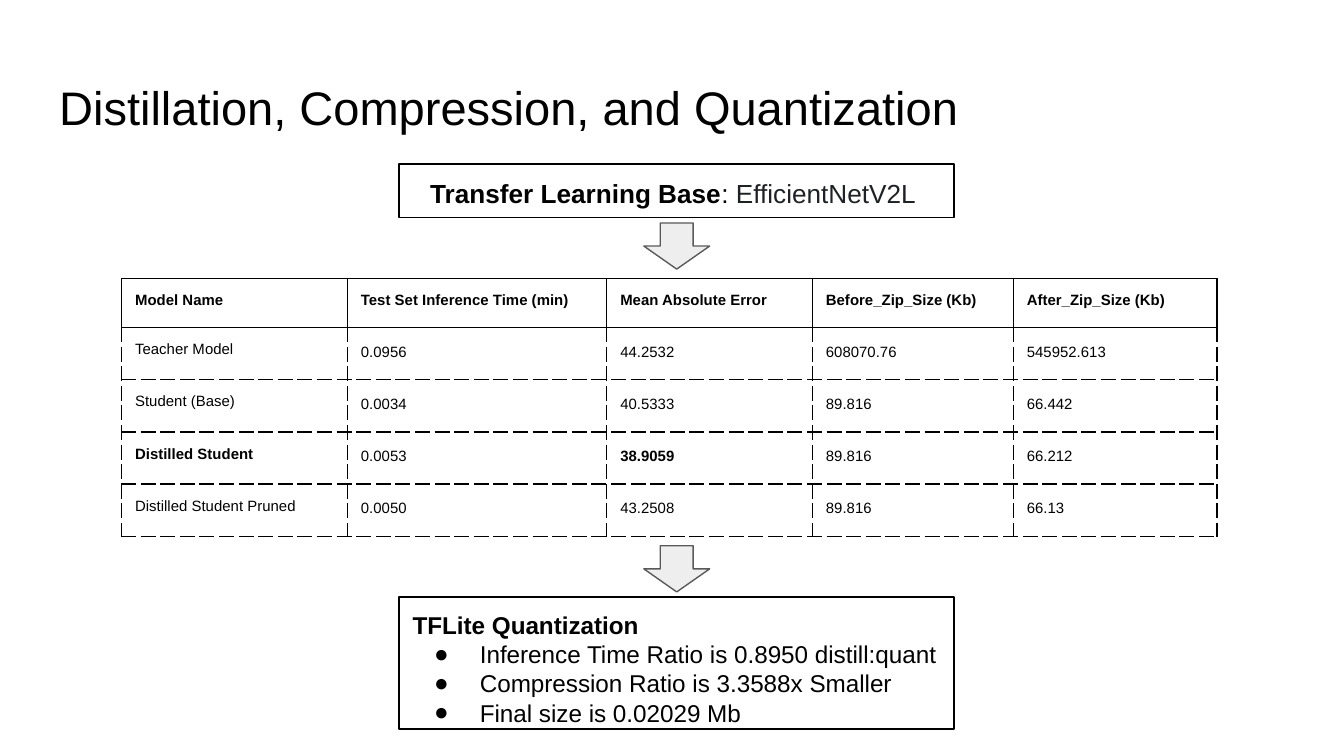
from dataclasses import dataclass

from lxml.etree import SubElement
from pptx import Presentation
from pptx.dml.color import RGBColor
from pptx.enum.shapes import MSO_SHAPE
from pptx.enum.text import MSO_ANCHOR, MSO_AUTO_SIZE, PP_ALIGN
from pptx.oxml.ns import qn
from pptx.util import Emu, Inches, Pt

FONT = "Arial"
BLACK, GREY, DARK, PALE = "000000", "595959", "202124", "EEEEEE"
SLIDE_WIDTH = Inches(10)
SLIDE_HEIGHT = Emu(SLIDE_WIDTH * 9 // 16)
COLUMN, ROW = SLIDE_WIDTH / 100, SLIDE_HEIGHT / 100
FLOW_AXIS = 50.35
BOX_WIDTH, ARROW_WIDTH, ARROW_HEIGHT = 41.3, 4.9, 6.1


@dataclass(frozen=True)
class Area:
    left: float
    top: float
    width: float
    height: float

    def lengths(self) -> tuple:
        return (Emu(round(self.left * COLUMN)), Emu(round(self.top * ROW)),
                Emu(round(self.width * COLUMN)), Emu(round(self.height * ROW)))


@dataclass(frozen=True)
class Span:
    text: str
    bold: bool = False
    color: str = BLACK


TITLE_AREA = Area(3.4, 8.65, 93.2, 11.2)
TABLE_AREA = Area(9.05, 36.85, 81.5, 34.1)
COLUMN_WIDTHS = (16.8, 19.3, 15.3, 14.95, 15.15)
HEADER_HEIGHT, RECORD_HEIGHT = 6.5, 6.9
RECORDS = (
    ("Model Name", "Test Set Inference Time (min)", "Mean Absolute Error",
     "Before_Zip_Size (Kb)", "After_Zip_Size (Kb)"),
    ("Teacher Model", "0.0956", "44.2532", "608070.76", "545952.613"),
    ("Student (Base)", "0.0034", "40.5333", "89.816", "66.442"),
    ("Distilled Student", "0.0053", "38.9059", "89.816", "66.212"),
    ("Distilled Student Pruned", "0.0050", "43.2508", "89.816", "66.13"),
)
BOLD_CELLS = {(3, 0), (3, 2)}
BASE_SPANS = (Span("Transfer Learning Base", True), Span(": "),
              Span("EfficientNetV2L", color=DARK), Span(" "))
QUANTIZATION_RESULTS = (
    "Inference Time Ratio is 0.8950 distill:quant",
    "Compression Ratio is 3.3588x Smaller",
    "Final size is 0.02029 Mb",
)


def rgb(color: str) -> RGBColor:
    return RGBColor.from_string(color)


def centred(top: float, width: float, height: float) -> Area:
    return Area(FLOW_AXIS - width / 2, top, width, height)


def place(shape, area: Area) -> None:
    shape.left, shape.top, shape.width, shape.height = area.lengths()


def add_span(para, span: Span, size: float) -> None:
    run = para.add_run()
    run.text = span.text
    run.font.name = FONT
    run.font.size = Pt(size)
    run.font.bold = span.bold
    run.font.color.rgb = rgb(span.color)


def format_frame(frame) -> None:
    frame.word_wrap = True
    frame.auto_size = MSO_AUTO_SIZE.NONE
    frame.vertical_anchor = MSO_ANCHOR.TOP
    frame.margin_left = frame.margin_right = Inches(0.1)
    frame.margin_top = frame.margin_bottom = Inches(0.1)


def outline(shape, color: str) -> None:
    shape.line.color.rgb = rgb(color)
    shape.line.width = Pt(0.75)


def set_bullet(para, shown: bool) -> None:
    properties = para._p.get_or_add_pPr()
    properties.set("marL", str(Inches(0.5) if shown else 0))
    properties.set("indent", str(Inches(-0.34) if shown else 0))
    if shown:
        color = SubElement(properties, qn("a:buClr"))
        SubElement(color, qn("a:srgbClr"), val=BLACK)
        SubElement(properties, qn("a:buFont"), typeface=FONT)
        SubElement(properties, qn("a:buChar"), char="●")
    else:
        SubElement(properties, qn("a:buNone"))
    para.space_before = Pt(0)


def add_arrow(page, top: float) -> None:
    area = centred(top, ARROW_WIDTH, ARROW_HEIGHT)
    arrow = page.shapes.add_shape(MSO_SHAPE.DOWN_ARROW, *area.lengths())
    arrow.shadow.inherit = False
    arrow.fill.solid()
    arrow.fill.fore_color.rgb = rgb(PALE)
    outline(arrow, GREY)


def add_base_box(page) -> None:
    area = centred(21.7, BOX_WIDTH, 7.1)
    box = page.shapes.add_shape(MSO_SHAPE.RECTANGLE, *area.lengths())
    box.shadow.inherit = False
    box.fill.background()
    outline(box, BLACK)
    format_frame(box.text_frame)
    para = box.text_frame.paragraphs[0]
    para.alignment = PP_ALIGN.CENTER
    for span in BASE_SPANS:
        add_span(para, span, 14)


def fill_title(title) -> None:
    place(title, TITLE_AREA)
    format_frame(title.text_frame)
    para = title.text_frame.paragraphs[0]
    para.alignment = PP_ALIGN.LEFT
    add_span(para, Span("Distillation, Compression, and Quantization"), 25.2)


def fill_quantization(body) -> None:
    place(body, centred(78.95, BOX_WIDTH, 17.5))
    outline(body, BLACK)
    format_frame(body.text_frame)
    heading = body.text_frame.paragraphs[0]
    set_bullet(heading, False)
    add_span(heading, Span("TFLite Quantization", True), 13)
    for result in QUANTIZATION_RESULTS:
        para = body.text_frame.add_paragraph()
        set_bullet(para, True)
        add_span(para, Span(result), 13)


def set_borders(cell, dashes: dict[str, str]) -> None:
    properties = cell._tc.get_or_add_tcPr()
    for side in "LRTB":
        line = SubElement(properties, qn(f"a:ln{side}"), w=str(Pt(0.75)))
        fill = SubElement(line, qn("a:solidFill"))
        SubElement(fill, qn("a:srgbClr"), val=BLACK)
        SubElement(line, qn("a:prstDash"), val=dashes[side])


def add_results_table(page) -> None:
    frame = page.shapes.add_table(len(RECORDS), len(COLUMN_WIDTHS),
                                  *TABLE_AREA.lengths())
    table = frame.table
    table.first_row = table.horz_banding = False
    for column, width in zip(table.columns, COLUMN_WIDTHS):
        column.width = Emu(round(width * COLUMN))
    for i, record in enumerate(RECORDS):
        height = RECORD_HEIGHT if i else HEADER_HEIGHT
        table.rows[i].height = Emu(round(height * ROW))
        dashes = dict.fromkeys("LRB", "dash" if i else "solid")
        dashes["T"] = "dash" if i > 1 else "solid"
        for j, text in enumerate(record):
            cell = table.cell(i, j)
            set_borders(cell, dashes)
            cell.fill.background()
            cell.margin_left = cell.margin_right = Inches(0.1)
            cell.margin_top = cell.margin_bottom = Inches(0.1)
            para = cell.text_frame.paragraphs[0]
            if i and j:
                para.line_spacing = 1.15
            add_span(para, Span(text, i == 0 or (i, j) in BOLD_CELLS), 8)


def main() -> None:
    deck = Presentation()
    deck.slide_width, deck.slide_height = SLIDE_WIDTH, SLIDE_HEIGHT
    page = deck.slides.add_slide(deck.slide_layouts[1])
    fill_title(page.shapes.title)
    add_results_table(page)
    add_arrow(page, 72.2)
    add_base_box(page)
    add_arrow(page, 29.5)
    fill_quantization(page.placeholders[1])
    deck.save("out.pptx")


if __name__ == "__main__":
    main()
